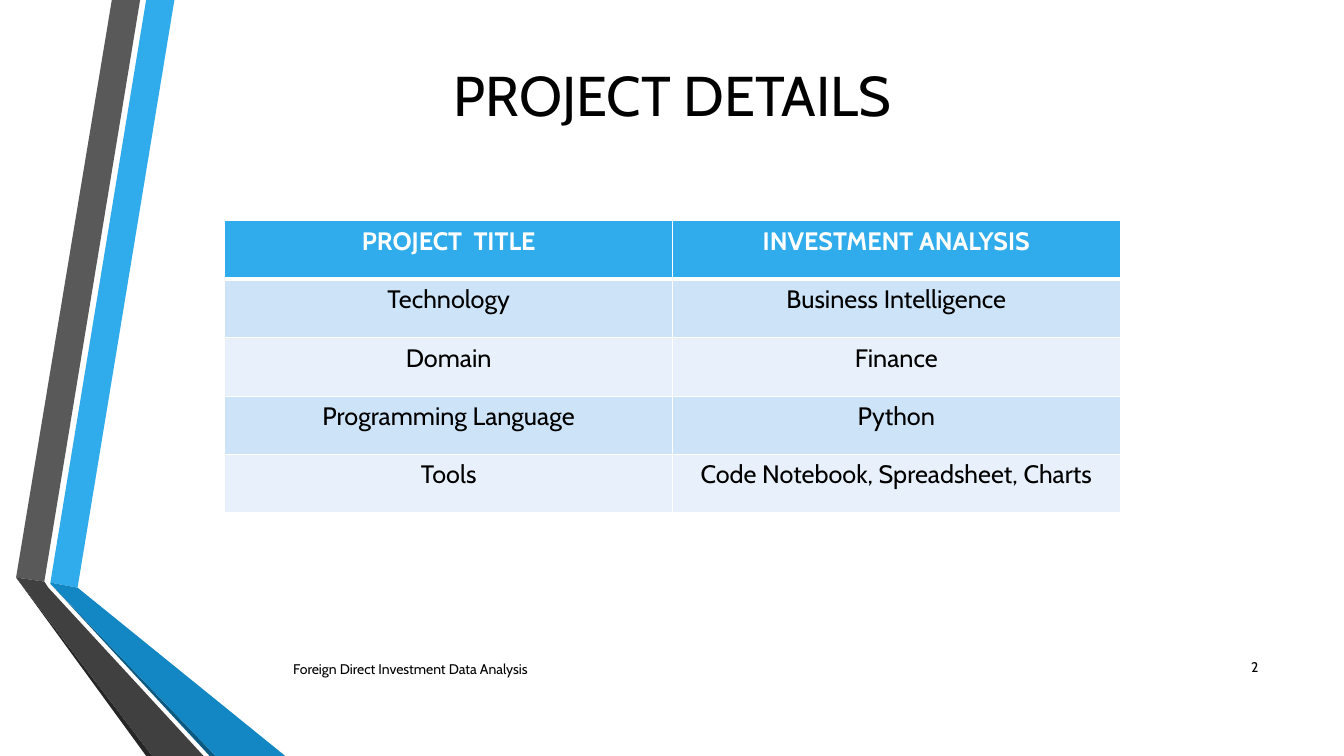
import pptx
import pptx.dml.color
import pptx.enum.text
import pptx.oxml
import pptx.oxml.ns
import pptx.util
from dataclasses import dataclass

Inches = pptx.util.Inches
Align = pptx.enum.text.PP_ALIGN
Anchor = pptx.enum.text.MSO_ANCHOR


@dataclass(frozen=True)
class Theme:
    font: str = "Cabin"
    title_size: int = 40
    table_size: int = 18
    footer_size: int = 10
    text: str = "000000"
    white: str = "FFFFFF"
    header: str = "30ACEC"
    bands: tuple = ("CDE3F8", "E8F1FB")
    thin_border: int = 1
    header_border: int = 3


THEME = Theme()

TITLE = "PROJECT DETAILS"
TABLE_ROWS = [
    ("PROJECT  TITLE", "INVESTMENT ANALYSIS"),
    ("Technology", "Business Intelligence"),
    ("Domain", "Finance"),
    ("Programming Language", "Python"),
    ("Tools", "Code Notebook, Spreadsheet, Charts"),
]
FOOTER = "Foreign Direct Investment Data Analysis"
SLIDE_NUMBER = "2"

# Ribbon panels from back to front: colour, outline in inches
RIBBON_PANELS = [
    ("30ACEC", [(0.5, 5.78), (0.77, 5.83), (1.73, 0), (1.45, 0)]),
    ("595959", [(1.39, 0), (1.11, 0), (0.16, 5.73), (0.44, 5.77)]),
    ("262626", [(0.16, 5.73), (1.45, 7.5), (1.51, 7.5)]),
    ("0C5A82", [(0.5, 5.79), (2.08, 7.5), (2.14, 7.5)]),
    ("1287C3", [(0.5, 5.78), (0.5, 5.79), (2.14, 7.5), (2.83, 7.5), (0.77, 5.83)]),
    ("404040", [(2.02, 7.5), (0.48, 5.83), (0.44, 5.77), (0.16, 5.73), (1.51, 7.5)]),
]

TITLE_BOX = (2.02, 0.27, 9.3, 1.32)
TABLE_BOX = (2.23, 2.19, 8.88, 2.9)
FOOTER_BOX = (2.81, 6.44, 7.75, 0.4)
NUMBER_BOX = (11.98, 6.42, 0.6, 0.4)


def rgb(colour):
    return pptx.dml.color.RGBColor.from_string(colour)


def write_text(frame, text, size, colour=THEME.text, bold=False, align=Align.LEFT):
    frame.word_wrap = True
    paragraph = frame.paragraphs[0]
    paragraph.alignment = align
    run = paragraph.add_run()
    run.text = text
    run.font.name = THEME.font
    run.font.size = pptx.util.Pt(size)
    run.font.bold = bold
    run.font.color.rgb = rgb(colour)


def add_ribbon_panel(slide, colour, outline):
    points = [(Inches(x), Inches(y)) for x, y in outline]
    builder = slide.shapes.build_freeform(*points[0])
    builder.add_line_segments(points[1:], close=True)
    shape = builder.convert_to_shape()
    shape.shadow.inherit = False
    shape.fill.solid()
    shape.fill.fore_color.rgb = rgb(colour)
    shape.line.fill.background()


def add_title(slide):
    title = slide.shapes.title
    title.left, title.top, title.width, title.height = map(Inches, TITLE_BOX)
    title.text_frame.vertical_anchor = Anchor.MIDDLE
    write_text(title.text_frame, TITLE, THEME.title_size, align=Align.CENTER)


def set_borders(cell, top, bottom):
    """Draw white borders; top and bottom are widths in points."""
    properties = cell._tc.get_or_add_tcPr()
    widths = {"lnL": THEME.thin_border, "lnR": THEME.thin_border, "lnT": top, "lnB": bottom}
    for tag, width in widths.items():
        properties.append(pptx.oxml.parse_xml(
            f'<a:{tag} {pptx.oxml.ns.nsdecls("a")} w="{pptx.util.Pt(width)}">'
            f'<a:solidFill><a:srgbClr val="{THEME.white}"/></a:solidFill></a:{tag}>'
        ))


def add_details_table(slide):
    row_count, column_count = len(TABLE_ROWS), len(TABLE_ROWS[0])
    table = slide.shapes.add_table(row_count, column_count, *map(Inches, TABLE_BOX)).table
    for row, values in enumerate(TABLE_ROWS):
        is_header = row == 0
        fill = THEME.header if is_header else THEME.bands[(row - 1) % 2]
        top = THEME.header_border if row == 1 else THEME.thin_border
        bottom = THEME.header_border if is_header else THEME.thin_border
        for column, value in enumerate(values):
            cell = table.cell(row, column)
            set_borders(cell, top, bottom)
            cell.fill.solid()
            cell.fill.fore_color.rgb = rgb(fill)
            write_text(cell.text_frame, value, THEME.table_size, bold=is_header,
                       colour=THEME.white if is_header else THEME.text, align=Align.CENTER)


def add_footer_text(slide, text, box, align):
    frame = slide.shapes.add_textbox(*map(Inches, box)).text_frame
    frame.vertical_anchor = Anchor.MIDDLE
    write_text(frame, text, THEME.footer_size, align=align)


def main():
    presentation = pptx.Presentation()
    presentation.slide_width, presentation.slide_height = Inches(13.33), Inches(7.5)
    title_only = presentation.slide_layouts.get_by_name("Title Only")
    slide = presentation.slides.add_slide(title_only)
    for colour, outline in RIBBON_PANELS:
        add_ribbon_panel(slide, colour, outline)
    add_title(slide)
    add_details_table(slide)
    add_footer_text(slide, FOOTER, FOOTER_BOX, Align.LEFT)
    add_footer_text(slide, SLIDE_NUMBER, NUMBER_BOX, Align.RIGHT)
    presentation.save("out.pptx")


if __name__ == "__main__":
    main()
